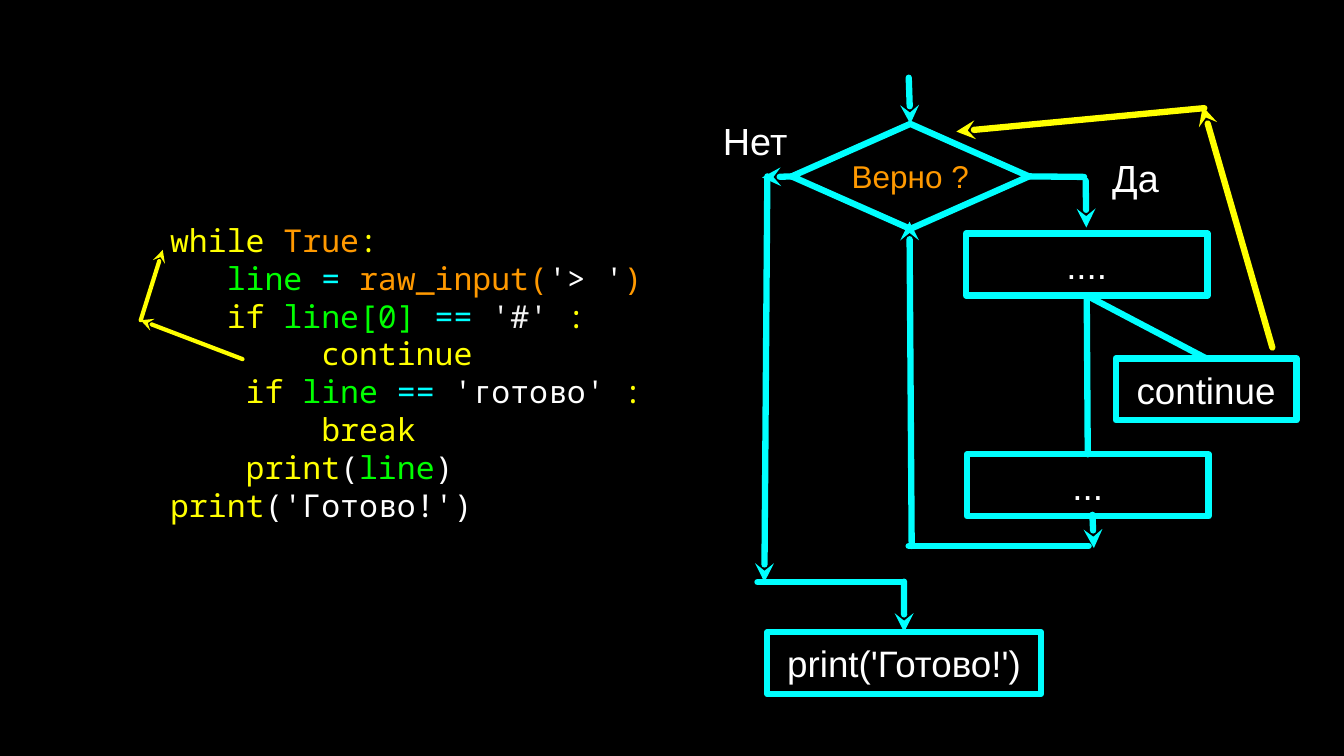
from lxml import etree
from pptx import Presentation
from pptx.dml.color import RGBColor as Rgb
from pptx.enum.shapes import MSO_CONNECTOR as Conn, MSO_SHAPE as Kind
from pptx.enum.text import MSO_ANCHOR as Anchor, PP_ALIGN as Align
from pptx.oxml.ns import qn
from pptx.util import Pt

CYAN, YELLOW, ORANGE = "00FFFF", "FFFF00", "FF9900"
GREEN, WHITE, PALE, BLACK = "00FF00", "FFFFFF", "F3F3F3", "000000"
TOP, LEFT, BOTTOM, RIGHT = range(4)

CODE = [
    [("while ", YELLOW), ("True", ORANGE), (":", YELLOW)],
    [("   line ", GREEN), ("= ", CYAN), ("raw_input(", ORANGE),
     ("'> '", WHITE), (")", ORANGE)],
    [("   if", YELLOW), (" line[0] ", GREEN), ("== ", CYAN),
     ("'#' ", PALE), (":", YELLOW)],
    [("        continue", YELLOW)],
    [("    if ", YELLOW), ("line ", GREEN), ("== ", CYAN),
     ("'готово' ", WHITE), (":", YELLOW)],
    [("        break", YELLOW)],
    [("    print", YELLOW), ("(", WHITE), ("line", GREEN), (")", WHITE)],
    [("print", YELLOW), ("('Готово!')", WHITE)],
]


def paint(part, color):
    part.solid()
    part.fore_color.rgb = Rgb.from_string(color)


def write(shape, lines, size=35, font="Arial", align=Align.CENTER, pitch=None):
    frame = shape.text_frame
    frame.word_wrap = True
    frame.vertical_anchor = Anchor.MIDDLE
    frame.margin_left = frame.margin_right = 0
    frame.margin_top = frame.margin_bottom = 0
    for row, parts in enumerate(lines):
        para = frame.add_paragraph() if row else frame.paragraphs[0]
        para.alignment = align
        if pitch:
            para.line_spacing = Pt(pitch)
        for text, color in parts:
            run = para.add_run()
            run.text = text
            run.font.size = Pt(size)
            run.font.name = font
            paint(run.font.fill, color)


def label(slide, box, lines, **style):
    shape = slide.shapes.add_textbox(*map(Pt, box))
    write(shape, lines, **style)


def node(slide, box, text, kind=Kind.RECTANGLE, color=WHITE, size=35):
    shape = slide.shapes.add_shape(kind, *map(Pt, box))
    shape.shadow.inherit = False
    shape.fill.background()
    paint(shape.line.fill, CYAN)
    shape.line.width = Pt(6)
    write(shape, [[(text, color)]], size=size)
    return shape


def link(slide, start, end, color=CYAN, width=6, arrow=True):
    spots = [(0, 0) if hasattr(p[0], "shape_id") else p for p in (start, end)]
    line = slide.shapes.add_connector(
        Conn.STRAIGHT, *(Pt(v) for spot in spots for v in spot))
    for spot, join in ((start, line.begin_connect), (end, line.end_connect)):
        if hasattr(spot[0], "shape_id"):
            join(*spot)
    paint(line.line.fill, color)
    line.line.width = Pt(width)
    props = line.element.spPr
    stroke = props.find(qn("a:ln"))
    stroke.set("cap", "rnd")
    if arrow:
        etree.SubElement(stroke, qn("a:tailEnd"), type="stealth")
    etree.SubElement(props, qn("a:effectLst"))


def listing(slide, left, top, width, height):
    def at(x, y):
        return left + x, top + y

    label(slide, (*at(28, 0), width - 28, height), CODE, size=30,
          font="Noto Sans Mono", align=Align.LEFT, pitch=36)
    for start, end in ((at(0, 117), at(21, 50)), (at(97, 154), at(0, 117))):
        link(slide, start, end, YELLOW, 4)


def chart(slide, left, top):
    def at(x, y):
        return left + x, top + y

    test = node(slide, (*at(74, 48), 226, 100), "Верно ?",
                Kind.DIAMOND, ORANGE, 30)
    first = node(slide, (*at(240, 152.5), 230, 59), "....")
    skip = node(slide, (*at(382.7, 271.3), 172, 59), "continue")
    last = node(slide, (*at(241, 362.7), 230, 59), "...")
    done = node(slide, (*at(50.8, 532), 260.6, 59), "print('Готово!')")

    for text, x, y in (("Нет", 4.7, 38.7), ("Да", 367, 74)):
        label(slide, (*at(x, y), 69, 49), [[(text, WHITE)]], size=36)

    for start, end in (
        (at(185.5, 4), (test, TOP)),
        (at(354, 102), at(354.6, 146.7)),
        (at(360.4, 420.3), at(361.8, 452)),
        (at(188.3, 450), at(186.2, 141)),
        ((test, LEFT), at(45.8, 99)),
        (at(50.8, 98), at(48, 484.4)),
        (at(181, 484), (done, TOP)),
    ):
        link(slide, start, end)

    for start, end in (
        ((test, RIGHT), at(352.5, 98.5)),
        ((first, BOTTOM), (skip, TOP)),
        ((first, BOTTOM), (last, TOP)),
        (at(185.4, 450), at(356.8, 450)),
        (at(41.4, 484.4), at(179.7, 484.4)),
    ):
        link(slide, start, end, arrow=False)

    for start, end in ((at(531.8, 261), at(465.5, 31.5)),
                       (at(467, 33), at(230.8, 55.3))):
        link(slide, start, end, YELLOW)


def main():
    deck = Presentation()
    deck.slide_width, deck.slide_height = Pt(1280), Pt(720)
    slide = deck.slides.add_slide(deck.slide_layouts[6])
    paint(slide.background.fill, BLACK)
    listing(slide, 134, 188, 523, 333)
    chart(slide, 680, 70)
    deck.save("out.pptx")


if __name__ == "__main__":
    main()
